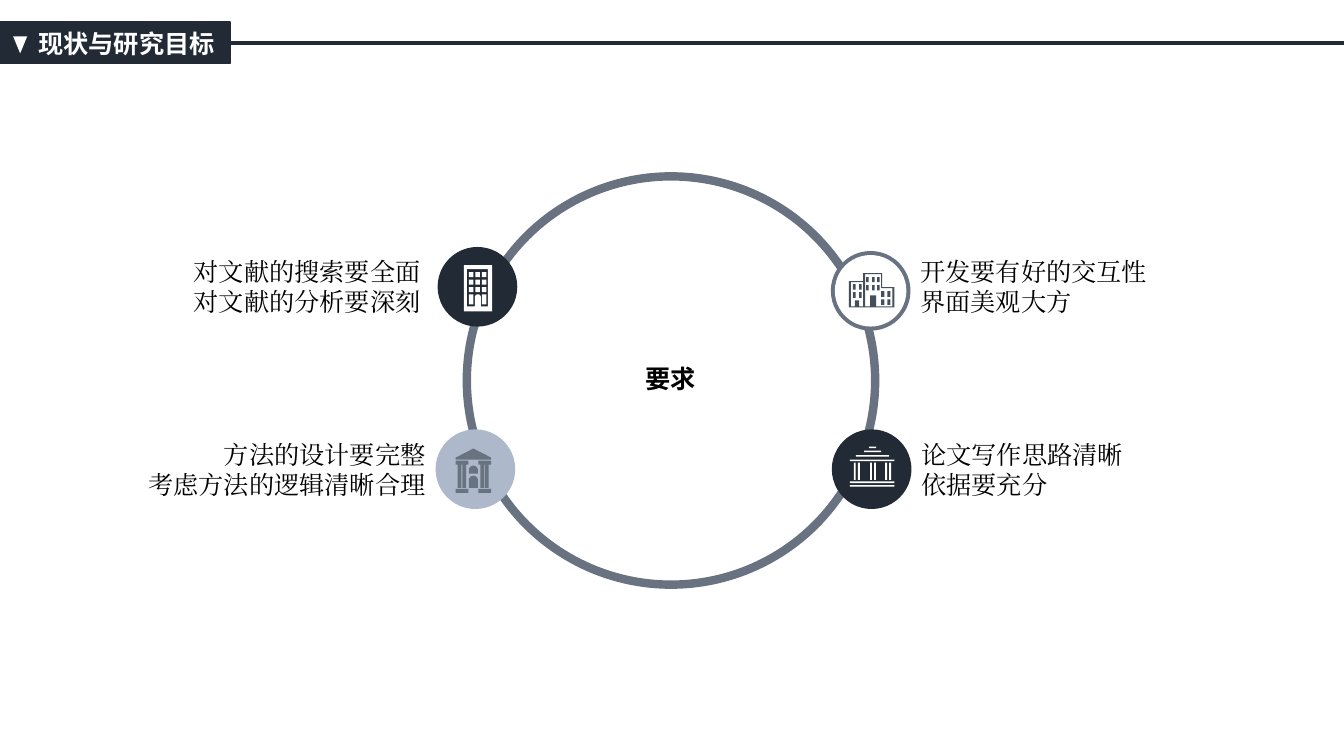
from dataclasses import dataclass
from itertools import product
from math import cos, pi, sin

from lxml.etree import SubElement
from pptx import Presentation
from pptx.dml.color import RGBColor
from pptx.enum.shapes import MSO_CONNECTOR, MSO_SHAPE
from pptx.enum.text import MSO_ANCHOR, MSO_AUTO_SIZE, PP_ALIGN
from pptx.oxml.ns import qn
from pptx.util import Inches, Pt

NAVY = RGBColor(0x22, 0x2A, 0x35)
SLATE = RGBColor(0x68, 0x72, 0x80)
STEEL = RGBColor(0x45, 0x4E, 0x5A)
MIST = RGBColor(0xAD, 0xB9, 0xCA)
WHITE = RGBColor(0xFF, 0xFF, 0xFF)
BLACK = RGBColor(0, 0, 0)

# The slide is a fine grid; every place below is given in its columns and rows
COLS, ROWS = 1333, 750
WIDE, HIGH = Inches(13.33), Inches(7.5)

Contour = list[tuple[float, float]]


@dataclass
class Disc:
    col: float
    row: float
    size: float
    fill: RGBColor | None
    edge: RGBColor | None = None
    weight: float = 0


@dataclass
class Label:
    col: float
    row: float
    wide: float
    high: float
    lines: list[str]
    align: PP_ALIGN
    face: str = "Times New Roman"
    bold: bool = False


@dataclass
class Icon:
    fill: RGBColor
    outlines: list[Contour]


def across(cols: float) -> int:
    return round(WIDE * cols / COLS)


def down(rows: float) -> int:
    return round(HIGH * rows / ROWS)


def frame(col: float, row: float, wide: float, high: float) -> tuple[int, int, int, int]:
    return across(col), down(row), across(wide), down(high)


def assign(item, values: dict) -> None:
    for name, value in values.items():
        setattr(item, name, value)


def paint(shape, fill: RGBColor | None, edge: RGBColor | None = None, weight: float = 0) -> None:
    shape.shadow.inherit = False
    if fill is None:
        shape.fill.background()
    else:
        shape.fill.solid()
        shape.fill.fore_color.rgb = fill
    if edge is None:
        shape.line.fill.background()
    else:
        shape.line.color.rgb = edge
        shape.line.width = Pt(weight)


def write(shape, lines: list[str], align: PP_ALIGN, face: str, bold: bool,
          color: RGBColor, anchor: MSO_ANCHOR) -> None:
    body = shape.text_frame
    body.text = "\n".join(lines)
    assign(body, {"word_wrap": False, "auto_size": MSO_AUTO_SIZE.NONE, "vertical_anchor": anchor})
    for para in body.paragraphs:
        para.alignment = align
        for run in para.runs:
            assign(run.font, {"size": Pt(18), "name": face, "bold": bold})
            run.font.color.rgb = color
    for props in shape.element.iter(qn("a:rPr")):
        SubElement(props, qn("a:ea"), typeface=face)


def box(col: float, row: float, wide: float, high: float) -> Contour:
    return [(col, row), (col + wide, row), (col + wide, row + high), (col, row + high)]


def arch(col: float, row: float, wide: float, high: float) -> Contour:
    half = wide / 2
    curve = [(col + half - half * cos(pi * n / 12), row + half - half * sin(pi * n / 12))
             for n in range(13)]
    return curve + [(col + wide, row + high), (col, row + high)]


def boxes(cols: list[float], rows: list[float], wide: float, high: float) -> list[Contour]:
    return [box(col, row, wide, high) for col, row in product(cols, rows)]


def draw_disc(shapes, disc: Disc) -> None:
    shape = shapes.add_shape(MSO_SHAPE.OVAL, *frame(disc.col, disc.row, disc.size, disc.size))
    paint(shape, disc.fill, disc.edge, disc.weight)


def draw_label(shapes, label: Label) -> None:
    shape = shapes.add_textbox(*frame(label.col, label.row, label.wide, label.high))
    write(shape, label.lines, label.align, label.face, label.bold, BLACK, MSO_ANCHOR.TOP)


def draw_icon(shapes, icon: Icon) -> None:
    outlines = [[(across(x), down(y)) for x, y in outline] for outline in icon.outlines]
    pen = shapes.build_freeform(*outlines[0][0], scale=1.0)
    for n, outline in enumerate(outlines):
        if n:
            pen.move_to(*outline[0])
        pen.add_line_segments(outline[1:], close=True)
    paint(pen.convert_to_shape(), icon.fill)


def draw_head(slide) -> None:
    shapes = slide.shapes
    tab = shapes.add_shape(MSO_SHAPE.RECTANGLE, *frame(0, 22, 228, 41))
    paint(tab, NAVY, NAVY, 1)
    rule = shapes.add_connector(MSO_CONNECTOR.STRAIGHT, across(228), down(43), WIDE, down(43))
    rule.line.color.rgb = NAVY
    rule.line.width = Pt(3)
    SubElement(rule.element.spPr, qn("a:effectLst"))
    title = shapes.title
    assign(title, dict(zip(("left", "top", "width", "height"), frame(27, 23, 197, 40))))
    write(title, ["现状与研究目标"], PP_ALIGN.CENTER, "Noto Sans CJK SC", True, WHITE, MSO_ANCHOR.MIDDLE)
    rule.element.addnext(title.element)  # in front of the dark tab
    mark = shapes.add_shape(MSO_SHAPE.ISOSCELES_TRIANGLE, *frame(13, 36, 14, 17))
    mark.rotation = 180
    paint(mark, WHITE)


DISCS = [
    Disc(463, 175, 405, None, SLATE, 6),
    Disc(824, 249, 79, SLATE),
    Disc(828, 253, 71, WHITE),
    Disc(434, 245, 79, NAVY),
    Disc(825, 426, 79, NAVY),
    Disc(432, 426, 79, MIST),
]

LABELS = [
    Label(524, 355, 282, 41, ["要求"], PP_ALIGN.CENTER, "Arial", True),
    Label(904, 431, 326, 93, ["论文写作思路清晰", "依据要充分"], PP_ALIGN.LEFT),
    Label(903, 249, 326, 75, ["开发要有好的交互性", "界面美观大方"], PP_ALIGN.LEFT),
    Label(106, 431, 326, 88, ["方法的设计要完整", "考虑方法的逻辑清晰合理"], PP_ALIGN.RIGHT),
    Label(152, 249, 275, 79, ["对文献的搜索要全面", "对文献的分析要深刻"], PP_ALIGN.RIGHT),
]

# Nested contours alternate between filled and open
CITY = Icon(STEEL, [
    [(875, 285), (875, 271), (856, 271), (856, 279), (842, 279), (842, 305), (887, 305), (887, 285)],
    box(844, 280, 12, 24),
    [(858, 272), (874, 272), (874, 286), (885, 286), (885, 304), (858, 304)],
    box(848, 298, 4, 6), box(863, 293, 6, 11),
    *boxes([859, 865, 870], [275, 283], 2.5, 5),
    *boxes([874, 880], [289, 297], 3, 5.5),
    *boxes([846, 852], [282, 290], 2.5, 5.5),
])
TOWER = Icon(WHITE, [
    box(460, 263, 28, 46), box(463, 267, 21, 37), arch(471, 292, 6, 12),
    *boxes([465, 471.5, 478], [270, 277.5, 285], 4.5, 5),
    *boxes([465, 478], [292], 4.5, 10),
])
TEMPLE = Icon(SLATE, [
    [(469.5, 445), (487, 454), (487, 456), (452, 456), (452, 454)],
    *boxes([452, 474.5], [457, 485], 12.5, 4),
    *boxes([454, 458.5, 476.5, 481], [461], 3.7, 23),
    arch(465, 462, 9, 8), arch(465, 472, 9, 12),
])
PORCH = Icon(WHITE, [
    *boxes([843], [456, 477.7, 481.3], 44, 1.6),
    *[box(865.5 - wide / 2, row, wide, 1.6) for wide, row in ((7, 443), (17, 447), (33, 451.5))],
    *boxes([847, 851, 863, 867, 878, 882], [459], 1.8, 17),
])


def main() -> None:
    deck = Presentation()
    deck.slide_width, deck.slide_height = WIDE, HIGH
    slide = deck.slides.add_slide(deck.slide_layouts.get_by_name("Title Only"))
    # Header, ring with its four stations, texts, icons
    draw_head(slide)
    for disc in DISCS:
        draw_disc(slide.shapes, disc)
    for label in LABELS:
        draw_label(slide.shapes, label)
    for icon in (CITY, TOWER, TEMPLE, PORCH):
        draw_icon(slide.shapes, icon)
    deck.save("out.pptx")


if __name__ == "__main__":
    main()
